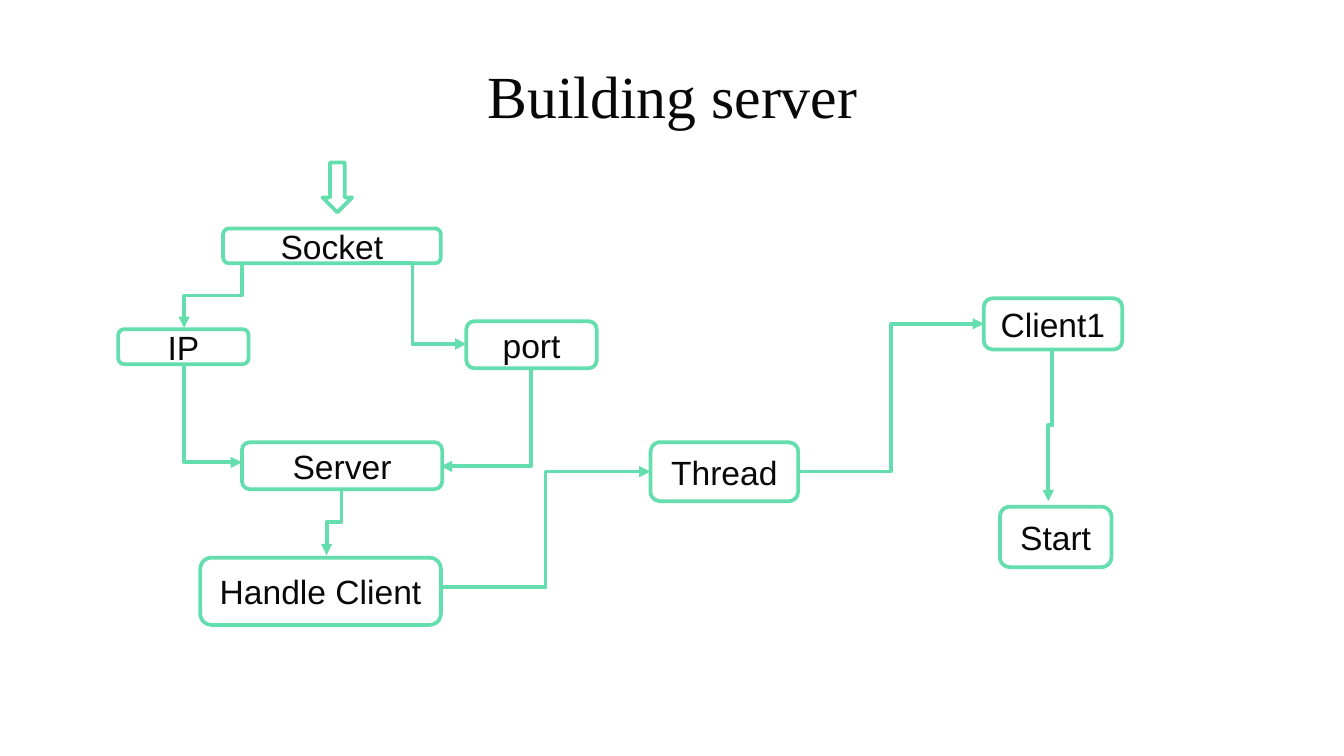
"""Build the "Building server" flow diagram slide."""
from lxml.etree import SubElement
from pptx import Presentation
from pptx.dml.color import RGBColor
from pptx.enum.shapes import MSO_CONNECTOR, MSO_SHAPE as Shape
from pptx.enum.text import MSO_ANCHOR, PP_ALIGN
from pptx.oxml.ns import qn
from pptx.util import Inches, Pt

GREEN = RGBColor(0x64, 0xDE, 0xAE)
INK = RGBColor(0x08, 0x08, 0x08)
WHITE = RGBColor(0xFF, 0xFF, 0xFF)

TITLE = "Building server"
PROCESS = Shape.FLOWCHART_ALTERNATE_PROCESS
NODES = [
    ("Socket", PROCESS, 1.66, 1.7, 1.62, 0.26),
    ("", Shape.DOWN_ARROW, 2.4, 1.21, 0.22, 0.37),
    ("IP", PROCESS, 0.88, 2.45, 0.97, 0.26),
    ("Server", PROCESS, 1.8, 3.29, 1.49, 0.35),
    ("port", PROCESS, 3.47, 2.39, 0.97, 0.35),
    ("Handle Client", PROCESS, 1.49, 4.15, 1.79, 0.5),
    ("Thread", PROCESS, 4.84, 3.29, 1.1, 0.44),
    ("Client1", Shape.ROUNDED_RECTANGLE, 7.32, 2.22, 1.03, 0.38),
    ("Start", PROCESS, 7.44, 3.77, 0.83, 0.45),
]
ACROSS, DOWN, CORNER = "across", "down", "corner"
LINKS = [
    (ACROSS, (2.67, 1.96), (3.47, 2.56)),
    (DOWN, (1.8, 1.96), (1.37, 2.44)),
    (CORNER, (3.95, 2.75), (3.28, 3.47)),
    (CORNER, (1.37, 2.72), (1.8, 3.44)),
    (DOWN, (2.54, 3.64), (2.43, 4.13)),
    (ACROSS, (3.28, 4.37), (4.84, 3.51)),
    (ACROSS, (5.94, 3.51), (7.32, 2.41)),
    (DOWN, (7.83, 2.6), (7.8, 3.73)),
]


def write(tf, text, font, size):
    tf.word_wrap = True
    p = tf.paragraphs[0]
    p.alignment = PP_ALIGN.CENTER
    r = p.add_run()
    r.text = text
    r.font.name, r.font.size = font, Pt(size)
    r.font.color.rgb = INK


def add_node(s, text, kind, *box):
    sp = s.shapes.add_shape(kind, *map(Inches, box))
    sp.shadow.inherit = False
    sp.fill.solid()
    sp.fill.fore_color.rgb = WHITE
    sp.line.color.rgb, sp.line.width = GREEN, Pt(2)
    if text:
        tf = sp.text_frame
        tf.margin_left = tf.margin_right = Inches(0.05)
        tf.margin_top = tf.margin_bottom = 0
        tf.vertical_anchor = MSO_ANCHOR.MIDDLE
        write(tf, text, "Arial", 18)


def add_link(s, route, start, end):
    (x1, y1), (x2, y2) = start, end
    turned = route != ACROSS
    rightward = x2 > x1
    if turned:
        cx, cy = (x1 + x2) / 2, (y1 + y2) / 2
        half_w, half_h = abs(y2 - y1) / 2, abs(x2 - x1) / 2
        x1, x2 = cx - half_w, cx + half_w
        y1, y2 = cy - half_h, cy + half_h
        if rightward:
            x1, x2 = x2, x1
    cxn = s.shapes.add_connector(
        MSO_CONNECTOR.ELBOW, *map(Inches, (x1, y1, x2, y2)))
    cxn.line.color.rgb, cxn.line.width = GREEN, Pt(2)
    props = cxn._element.spPr
    if turned:
        angle = 270 if rightward else 90
        props.find(qn("a:xfrm")).set("rot", str(angle * 60000))
    if route == CORNER:
        props.find(qn("a:prstGeom")).set("prst", "bentConnector2")
    SubElement(props.find(qn("a:ln")), qn("a:tailEnd"), type="triangle")
    SubElement(props, qn("a:effectLst"))


def main():
    prs = Presentation()
    prs.slide_width = Inches(10)
    prs.slide_height = Inches(10 * 9 / 16)
    s = prs.slides.add_slide(prs.slide_layouts[6])
    box = s.shapes.add_textbox(*map(Inches, (0.2, 0.34, 9.61, 0.63)))
    box.text_frame.margin_top = Inches(0.1)
    write(box.text_frame, TITLE, "Times New Roman", 32)
    for node in NODES:
        add_node(s, *node)
    for link in LINKS:
        add_link(s, *link)
    prs.save("out.pptx")


if __name__ == "__main__":
    main()
